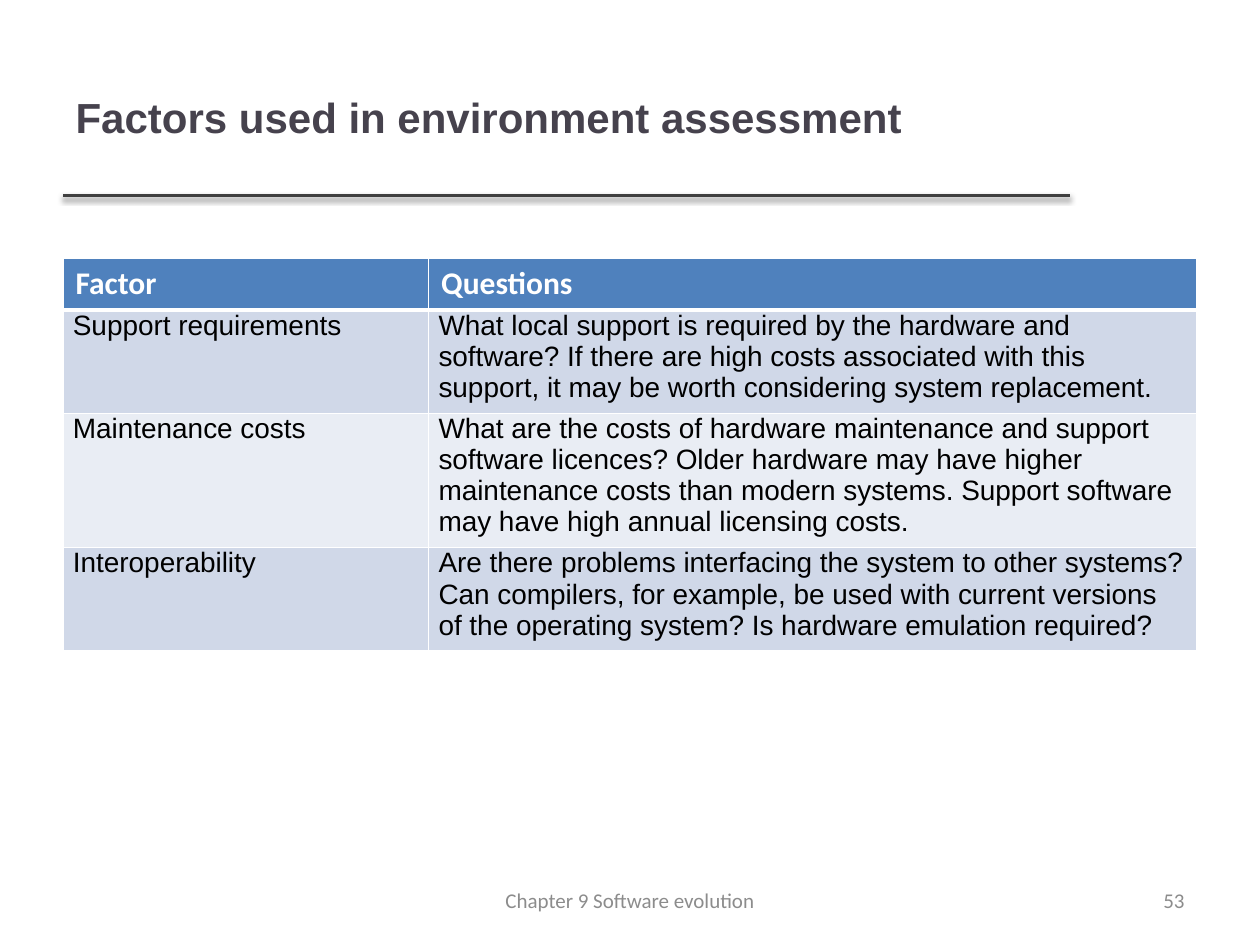
"""Build a slide with a table of environment assessment factors."""
import dataclasses

import lxml.etree
import pptx
import pptx.dml.color
import pptx.enum.shapes
import pptx.enum.text
import pptx.oxml
import pptx.oxml.ns
import pptx.util

Cm = pptx.util.Cm
Pt = pptx.util.Pt
ALIGN = pptx.enum.text.PP_ALIGN
MIDDLE = pptx.enum.text.MSO_ANCHOR.MIDDLE


@dataclasses.dataclass(frozen=True)
class Theme:
    """Colours, fonts and type sizes of the slide."""
    title: str = "46424D"
    rule: str = "404040"
    header: str = "4F81BD"
    bands: tuple = ("D0D8E8", "E9EDF4")
    white: str = "FFFFFF"
    black: str = "000000"
    footer: str = "8C8C8C"
    sans: str = "Arial"
    alt: str = "Calibri"
    title_size: int = 24
    header_size: int = 18
    body_size: int = 16
    footer_size: int = 12


THEME = Theme()

ROWS = [
    ("Factor", "Questions"),
    ("Support requirements",
     "What local support is required by the hardware and software? If there "
     "are high costs associated with this support, it may be worth "
     "considering system replacement."),
    ("Maintenance costs",
     "What are the costs of hardware maintenance and support software "
     "licences? Older hardware may have higher maintenance costs than modern "
     "systems. Support software may have high annual licensing costs."),
    ("Interoperability",
     "Are there problems interfacing the system to other systems? Can "
     "compilers, for example, be used with current versions of the operating "
     "system? Is hardware emulation required?"),
]


def rgb(color):
    """Turn a hex string into a colour."""
    return pptx.dml.color.RGBColor.from_string(color)


def set_text(tf, text, font, size, color, bold=False, align=ALIGN.LEFT):
    """Write one formatted paragraph and return it."""
    tf.text = text
    p = tf.paragraphs[0]
    p.alignment = align
    p.font.name = font
    p.font.size = Pt(size)
    p.font.bold = bold
    p.font.color.rgb = rgb(color)
    return p


def add_title(slide, text):
    """Place and format the title placeholder."""
    sp = slide.shapes.title
    sp.left, sp.top, sp.width, sp.height = Cm(1.27), Cm(0.76), Cm(20.28), Cm(3.17)
    sp.text_frame.vertical_anchor = MIDDLE
    set_text(sp.text_frame, text, THEME.sans, THEME.title_size, THEME.title, True)


def add_rule(slide):
    """Draw the line under the title with a soft shadow."""
    line = slide.shapes.add_connector(
        pptx.enum.shapes.MSO_CONNECTOR.STRAIGHT,
        Cm(1.27), Cm(3.94), Cm(21.56), Cm(3.94))
    line.line.color.rgb = rgb(THEME.rule)
    line.line.width = Pt(2)
    effects = pptx.oxml.parse_xml(
        f'<a:effectLst {pptx.oxml.ns.nsdecls("a")}>'
        f'<a:outerShdw blurRad="{Pt(3.1)}" dist="{Pt(1.6)}" dir="5400000" '
        f'rotWithShape="0"><a:srgbClr val="{THEME.black}">'
        '<a:alpha val="38000"/></a:srgbClr></a:outerShdw></a:effectLst>')
    line._element.spPr.append(effects)


def set_borders(cell, top, bottom):
    """Give a cell white borders, with top and bottom widths in points."""
    tc_pr = cell._tc.get_or_add_tcPr()
    for side, width in (("L", 1), ("R", 1), ("T", top), ("B", bottom)):
        tc_pr.append(pptx.oxml.parse_xml(
            f'<a:ln{side} {pptx.oxml.ns.nsdecls("a")} w="{Pt(width)}">'
            f'<a:solidFill><a:srgbClr val="{THEME.white}"/></a:solidFill>'
            f'</a:ln{side}>'))


def format_cell(cell, text, row):
    """Fill in one cell as header or as banded body."""
    set_borders(cell, 3 if row == 1 else 1, 3 if row == 0 else 1)
    cell.fill.solid()
    if row == 0:
        cell.fill.fore_color.rgb = rgb(THEME.header)
        set_text(cell.text_frame, text, THEME.alt, THEME.header_size, THEME.white, True)
        return
    cell.fill.fore_color.rgb = rgb(THEME.bands[(row - 1) % 2])
    cell.margin_left = cell.margin_right = cell.margin_bottom = Cm(0.2)
    cell.margin_top = 0
    p = set_text(cell.text_frame, text, THEME.sans, THEME.body_size, THEME.black)
    p.space_after = Pt(6)


def add_factor_table(slide, rows):
    """Add the table of factors and questions."""
    frame = slide.shapes.add_table(
        len(rows), 2, Cm(1.27), Cm(5.21), Cm(22.86), Cm(8.41))
    table = frame.table
    for column, width in zip(table.columns, (7.37, 15.49)):
        column.width = Cm(width)
    for i, texts in enumerate(rows):
        table.rows[i].height = Cm(1.04)
        for j, text in enumerate(texts):
            format_cell(table.cell(i, j), text, i)
    frame.height = Cm(8.41)


def add_footer(slide, text, left, width, align):
    """Add a small grey text at the foot of the slide."""
    sp = slide.shapes.add_textbox(Cm(left), Cm(17.65), Cm(width), Cm(1.01))
    tf = sp.text_frame
    tf.word_wrap = True
    tf.vertical_anchor = MIDDLE
    set_text(tf, text, THEME.alt, THEME.footer_size, THEME.footer, align=align)


def main():
    """Build and save the presentation."""
    prs = pptx.Presentation()
    prs.slide_width, prs.slide_height = Cm(25.4), Cm(19.05)
    slide = prs.slides.add_slide(prs.slide_layouts.get_by_name("Title Only"))
    add_rule(slide)
    add_title(slide, "Factors used in environment assessment")
    add_factor_table(slide, ROWS)
    add_footer(slide, "53", 18.2, 5.93, ALIGN.RIGHT)
    add_footer(slide, "Chapter 9 Software evolution", 8.68, 8.04, ALIGN.CENTER)
    prs.save("out.pptx")


main()
